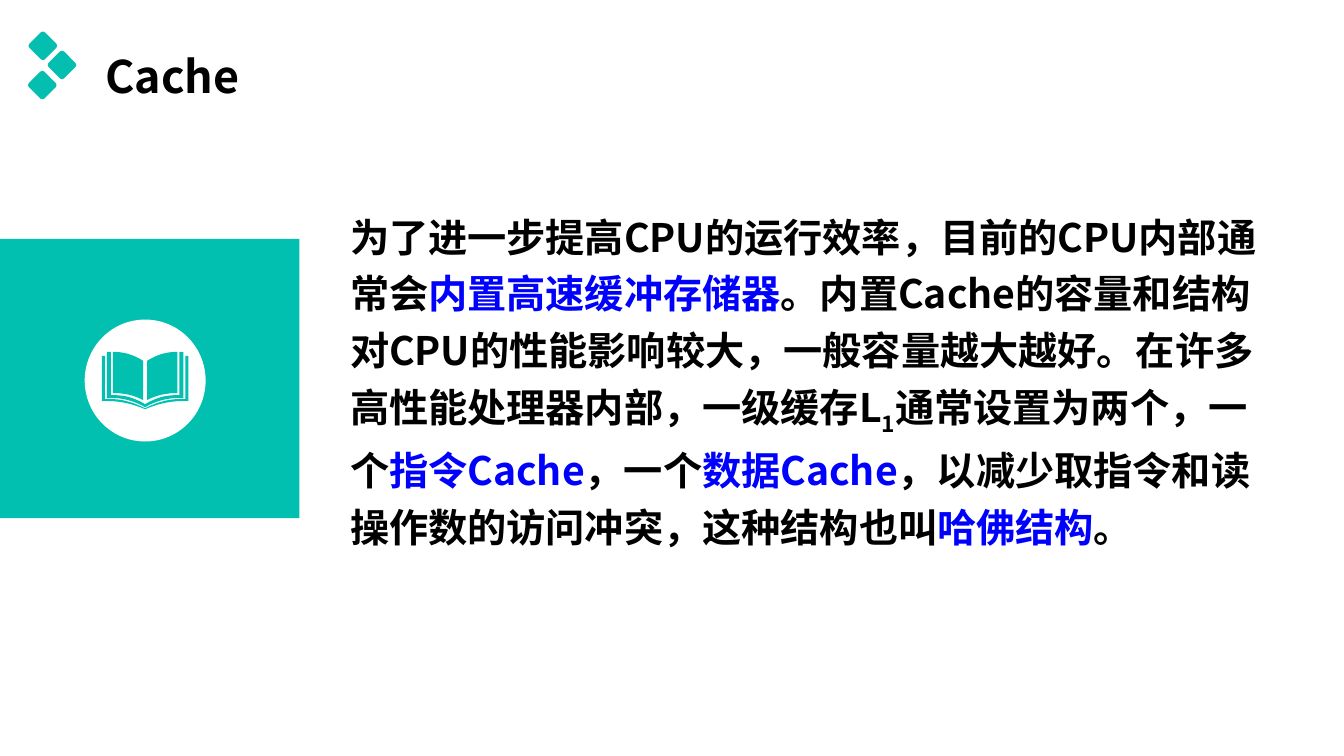
from lxml.etree import SubElement
from pptx import Presentation
from pptx.dml.color import RGBColor
from pptx.enum.shapes import MSO_SHAPE
from pptx.enum.text import MSO_ANCHOR
from pptx.oxml.ns import qn
from pptx.util import Inches, Pt

FONT = "Noto Sans CJK SC"
BLACK, BLUE, WHITE = "000000", "0000FF", "FFFFFF"
TEAL, GEM_TEAL = "01C0B0", "04BEB0"


def colour(value):
    return RGBColor.from_string(value)


def curve(start, first, second, end, steps=10):
    points = []
    for step in range(steps + 1):
        t = step / steps
        weights = ((1 - t) ** 3, 3 * t * (1 - t) ** 2, 3 * t * t * (1 - t), t ** 3)
        points.append(tuple(
            sum(weight * value for weight, value in zip(weights, axis))
            for axis in zip(start, first, second, end)
        ))
    return points


class Page:
    def __init__(self, deck):
        self.width, self.height = deck.slide_width, deck.slide_height
        self.line_spacing = 1.2
        self.shapes = deck.slides.add_slide(deck.slide_layouts[6]).shapes

    def across(self, percent):
        return round(self.width * percent / 100)

    def down(self, percent):
        return round(self.height * percent / 100)

    def area(self, left, top, width, height):
        return self.across(left), self.down(top), self.across(width), self.down(height)

    def paint(self, shape, fill):
        shape.shadow.inherit = False
        shape.fill.solid()
        shape.fill.fore_color.rgb = colour(fill)
        shape.line.fill.background()
        return shape

    def block(self, kind, area, fill):
        return self.paint(self.shapes.add_shape(kind, *self.area(*area)), fill)

    def gem(self, centre_x, centre_y):
        width, height = 1.63, 2.9
        area = (centre_x - width / 2, centre_y - height / 2, width, height)
        gem = self.block(MSO_SHAPE.ROUNDED_RECTANGLE, area, GEM_TEAL)
        gem.adjustments[0] = 0.14
        gem.rotation = 45

    def mirrored(self, halves, centre, top, unit, fill):
        precision = 10
        outlines = [
            [(round(side * x * precision), round(y * precision)) for x, y in half]
            for half in halves for side in (-1, 1)
        ]
        builder = self.shapes.build_freeform(
            *outlines[0][0], scale=self.across(unit) / precision
        )
        for index, outline in enumerate(outlines):
            if index:
                builder.move_to(*outline[0])
            builder.add_line_segments(outline[1:], close=True)
        self.paint(builder.convert_to_shape(self.across(centre), self.down(top)), fill)

    def text(self, area, spans, size, anchor=MSO_ANCHOR.TOP):
        box = self.shapes.add_textbox(*self.area(*area))
        frame = box.text_frame
        frame.word_wrap = True
        frame.vertical_anchor = anchor
        para = frame.paragraphs[0]
        para.line_spacing = self.line_spacing
        for words, fill, baseline in spans:
            span = para.add_run()
            span.text = words
            span.font.name = FONT
            span.font.size = Pt(size)
            span.font.bold = True
            span.font.color.rgb = colour(fill)
            properties = span.font._element
            SubElement(properties, qn("a:ea")).set("typeface", FONT)
            if baseline:
                properties.set("baseline", str(baseline * 1000))


def book_halves():
    cover = [(40, 4), *curve((40, 47), (25, 46), (12, 50), (0, 56)),
             *curve((0, 57), (14, 51), (29, 48), (43, 49)), (43, 4)]
    leaf = [*curve((2, 48), (11, 43), (21, 41), (32, 41)),
            *curve((32, 0), (22, 0), (11, 3), (2, 9))]
    edge = [*curve((0, 55), (12, 48), (26, 45), (38, 46)),
            (38, 0), (34, 0), (34, 43),
            *curve((32, 43), (20, 43), (10, 46), (0, 52))]
    return cover, leaf, edge


def main():
    deck = Presentation()
    deck.slide_width, deck.slide_height = Inches(13.33), Inches(7.5)
    page = Page(deck)

    page.text((7.1, 1.07, 26.86, 16.53), [("Cache", BLACK, 0)], 32, MSO_ANCHOR.MIDDLE)
    page.text((25.31, 26.27, 69.39, 61.07), [
        ("为了进一步提高CPU的运行效率，目前的CPU内部通常会", BLACK, 0),
        ("内置高速缓冲存储器", BLUE, 0),
        ("。内置Cache的容量和结构对CPU的性能影响较大，一般容量越大越好。"
         "在许多高性能处理器内部，一级缓存L", BLACK, 0),
        ("1", BLACK, -25),
        ("通常设置为两个，一个", BLACK, 0),
        ("指令Cache", BLUE, 0),
        ("，一个", BLACK, 0),
        ("数据Cache", BLUE, 0),
        ("，以减少取指令和读操作数的访问冲突，这种结构也叫", BLACK, 0),
        ("哈佛结构", BLUE, 0),
        ("。", BLACK, 0),
    ], 28)

    page.block(MSO_SHAPE.RECTANGLE, (-0.15, 31.6, 22.43, 36.93), TEAL)
    page.block(MSO_SHAPE.OVAL, (6.3, 42.27, 9, 16.13), WHITE)
    page.mirrored(book_halves(), 10.8, 46.53, 0.075, TEAL)

    for centre in ((3.19, 6.07), (4.61, 8.6), (3.15, 11.27)):
        page.gem(*centre)

    deck.save("out.pptx")


if __name__ == "__main__":
    main()
